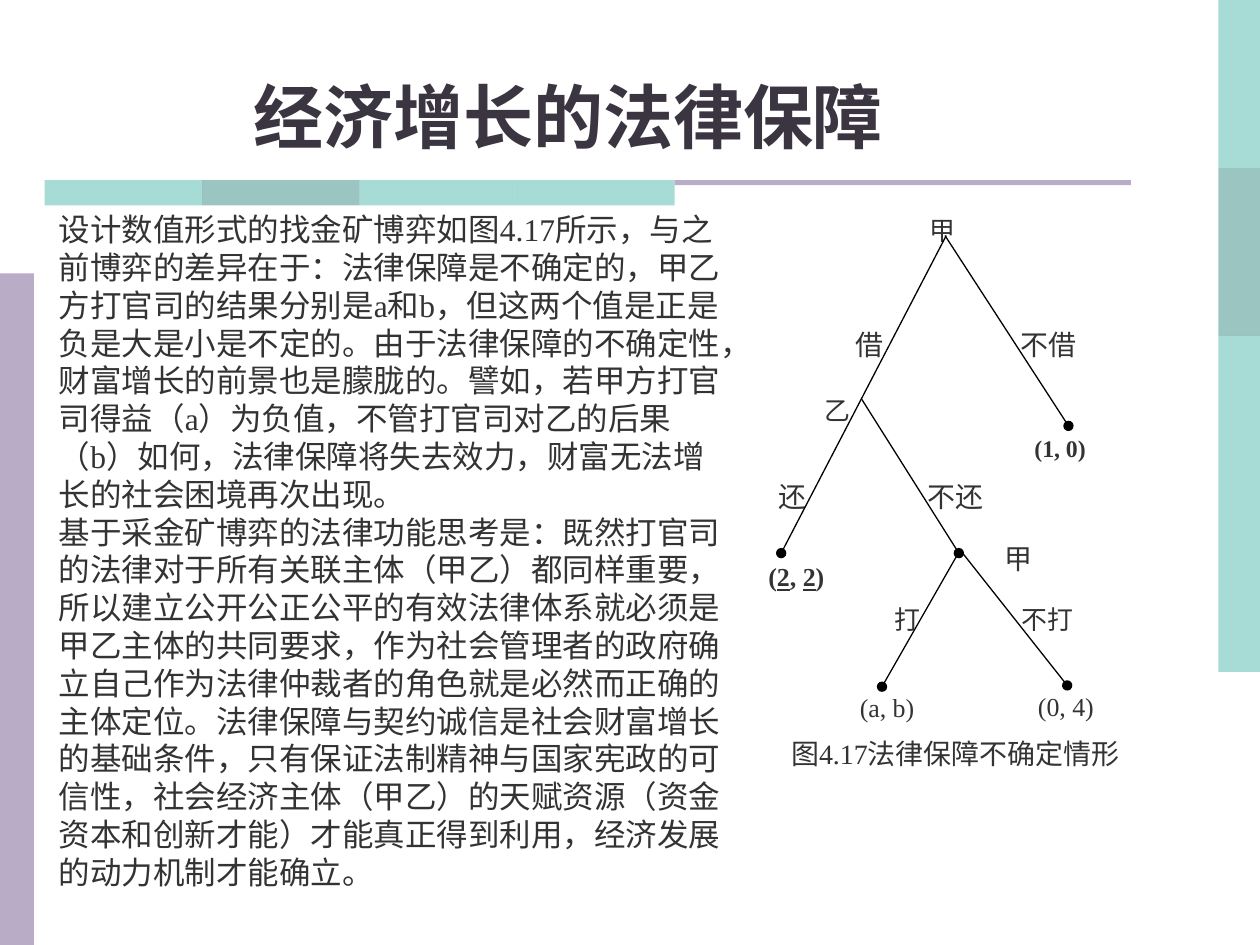
from lxml import etree
from pptx import Presentation
from pptx.dml.color import RGBColor
from pptx.enum.shapes import MSO_CONNECTOR, MSO_SHAPE
from pptx.enum.text import MSO_ANCHOR, PP_ALIGN as AL
from pptx.oxml.ns import qn
from pptx.util import Inches, Pt

FONT = "Times New Roman"
TEXT, TITLE, WHITE, BLACK = "333333", "3A3541", "FFFFFF", "000000"
TEAL, DARK_TEAL, LILAC = "51B9AF", "398D85", "B8ACC6"

HEADING = "经济增长的法律保障"
BODY = [
    "设计数值形式的找金矿博弈如图4.17所示，与之前博弈的差异在于：法律保障是不确定的，"
    "甲乙方打官司的结果分别是a和b，但这两个值是正是负是大是小是不定的。"
    "由于法律保障的不确定性，财富增长的前景也是朦胧的。譬如，若甲方打官司得益（a）为负值，"
    "不管打官司对乙的后果（b）如何，法律保障将失去效力，财富无法增长的社会困境再次出现。",
    "基于采金矿博弈的法律功能思考是：既然打官司的法律对于所有关联主体（甲乙）都同样重要，"
    "所以建立公开公正公平的有效法律体系就必须是甲乙主体的共同要求，"
    "作为社会管理者的政府确立自己作为法律仲裁者的角色就是必然而正确的主体定位。"
    "法律保障与契约诚信是社会财富增长的基础条件，只有保证法制精神与国家宪政的可信性，"
    "社会经济主体（甲乙）的天赋资源（资金资本和创新才能）才能真正得到利用，"
    "经济发展的动力机制才能确立。",
]
CAPTION = "图4.17法律保障不确定情形"

# Tree labels: text, offset and size in the tree box, point size, line spacing, alignment
LABELS = [
    ("还", (0.04, 2.04, 0.7, 0.53), 16, 1.9, AL.CENTER),
    ("不还", (1.29, 2.04, 0.78, 0.53), 16, 1.9, AL.CENTER),
    ("(0, 4)", (2.24, 3.78, 0.64, 0.41), 14.8, 1.7, AL.CENTER),
    ("不借", (2.2, 0.86, 0.6, 0.46), 16, 1.8, AL.JUSTIFY),
    ("(1, 0)", (2.31, 1.73, 0.44, 0.42), 13.6, 1.8, AL.JUSTIFY),
    ("乙", (0, 1.43, 0.85, 0.42), 14.8, 1.7, AL.RIGHT),
    ("(2, 2)", (0.11, 2.75, 0.62, 0.4), 14.8, 1.7, AL.CENTER),
    ("借", (0.18, 0.86, 0.93, 0.46), 16, 1.8, AL.RIGHT),
    ("甲", (1.11, 0, 0.94, 0.42), 14.8, 1.7, AL.CENTER),
    ("(a, b)", (0.82, 3.79, 0.64, 0.41), 14.8, 1.7, AL.CENTER),
    ("甲", (1.79, 2.53, 0.78, 0.53), 16, 1.9, AL.CENTER),
    ("打", (0.98, 3.09, 0.64, 0.41), 14.8, 1.7, AL.CENTER),
    ("不打", (2.09, 3.09, 0.64, 0.41), 14.8, 1.7, AL.CENTER),
]
BOLD = {"(1, 0)", "(2, 2)"}
UNDERLINED = {"(2, 2)": "2"}  # equilibrium payoffs

# Tree branches: start and end in the tree box
BRANCHES = [
    ((1.61, 0.34), (0.3, 2.86)),
    ((1.6, 0.34), (2.58, 1.85)),
    ((0.94, 1.64), (1.71, 2.86)),
    ((1.7, 2.87), (1.1, 3.92)),
    ((1.74, 2.86), (2.57, 3.91)),
]


def rgb(color):
    return RGBColor.from_string(color)


def add_rect(slide, box, fill, line=None, alpha=None):
    sp = slide.shapes.add_shape(MSO_SHAPE.RECTANGLE, *map(Inches, box))
    sp.shadow.inherit = False
    sp.fill.solid()
    sp.fill.fore_color.rgb = rgb(fill)
    if alpha:
        color = sp.fill._xPr.find(qn("a:solidFill"))[0]
        etree.SubElement(color, qn("a:alpha"), val=str(alpha * 1000))
    if line:
        sp.line.color.rgb = rgb(line)
        sp.line.width = Pt(0.75)
    else:
        sp.line.fill.background()
    return sp


def write(sp, paragraphs, size, color=TEXT, bold=False, align=AL.LEFT, spacing=None,
          anchor=MSO_ANCHOR.TOP, inset=(0.1, 0.05), underlined=None):
    tf = sp.text_frame
    tf.word_wrap = True
    tf.vertical_anchor = anchor
    tf.margin_left = tf.margin_right = Inches(inset[0])
    tf.margin_top = tf.margin_bottom = Inches(inset[1])
    for i, text in enumerate(paragraphs):
        p = tf.add_paragraph() if i else tf.paragraphs[0]
        p.alignment = align
        if spacing:
            p.line_spacing = spacing
        for part in (text if underlined else [text]):
            r = p.add_run()
            r.text = part
            r.font.name, r.font.size, r.font.bold = FONT, Pt(size), bold
            r.font.color.rgb = rgb(color)
            if part == underlined:
                r.font.underline = True


def add_text(slide, box, paragraphs, size, **fmt):
    write(slide.shapes.add_textbox(*map(Inches, box)), paragraphs, size, **fmt)


def add_branch(slide, start, end):
    line = slide.shapes.add_connector(MSO_CONNECTOR.STRAIGHT, *map(Inches, start + end))
    line.line.color.rgb = rgb(BLACK)
    line.line.width = Pt(0.75)
    etree.SubElement(line.line._get_or_add_ln(), qn("a:tailEnd"), type="oval")
    etree.SubElement(line._element.spPr, qn("a:effectLst"))


def decorate(slide, width, height):
    # Right strip, left bar, and the rule under the title
    strip_w, strip_h = 0.33, 4 / 3
    for i, color in enumerate([TEAL, DARK_TEAL, TEAL, TEAL]):
        add_rect(slide, (width - strip_w, i * strip_h, strip_w, strip_h), color, alpha=50)
    add_rect(slide, (0, 2.17, 0.27, height - 2.17), LILAC)
    left, top, step = 0.355, 1.43, 1.25
    for i, color in enumerate([TEAL, DARK_TEAL, TEAL, TEAL]):
        add_rect(slide, (left + i * step, top, step, 0.2), color, alpha=50)
    add_rect(slide, (left + 4 * step, top, 3.62, 0.04), LILAC)


def game_tree(slide, left, top):
    for text, (x, y, w, h), size, spacing, align in LABELS:
        sp = add_rect(slide, (left + x, top + y, w, h), WHITE, line=WHITE)
        write(sp, [text], size, bold=text in BOLD, align=align, spacing=spacing,
              inset=(0, 0), underlined=UNDERLINED.get(text))
    for (x1, y1), (x2, y2) in BRANCHES:
        add_branch(slide, (left + x1, top + y1), (left + x2, top + y2))


def main():
    prs = Presentation()
    width, height = 10, 7.5
    prs.slide_width, prs.slide_height = Inches(width), Inches(height)
    slide = prs.slides.add_slide(prs.slide_layouts[6])
    decorate(slide, width, height)
    add_text(slide, (0, 0.44, 9.02, 0.86), [HEADING], 40, color=TITLE, bold=True,
             align=AL.CENTER, anchor=MSO_ANCHOR.BOTTOM)
    game_tree(slide, 5.9, 1.53)
    add_text(slide, (6.18, 5.8, 2.85, 0.64), [CAPTION], 16)
    add_text(slide, (0.37, 1.62, 5.53, 5.5), BODY, 18)
    prs.save("out.pptx")


if __name__ == "__main__":
    main()
